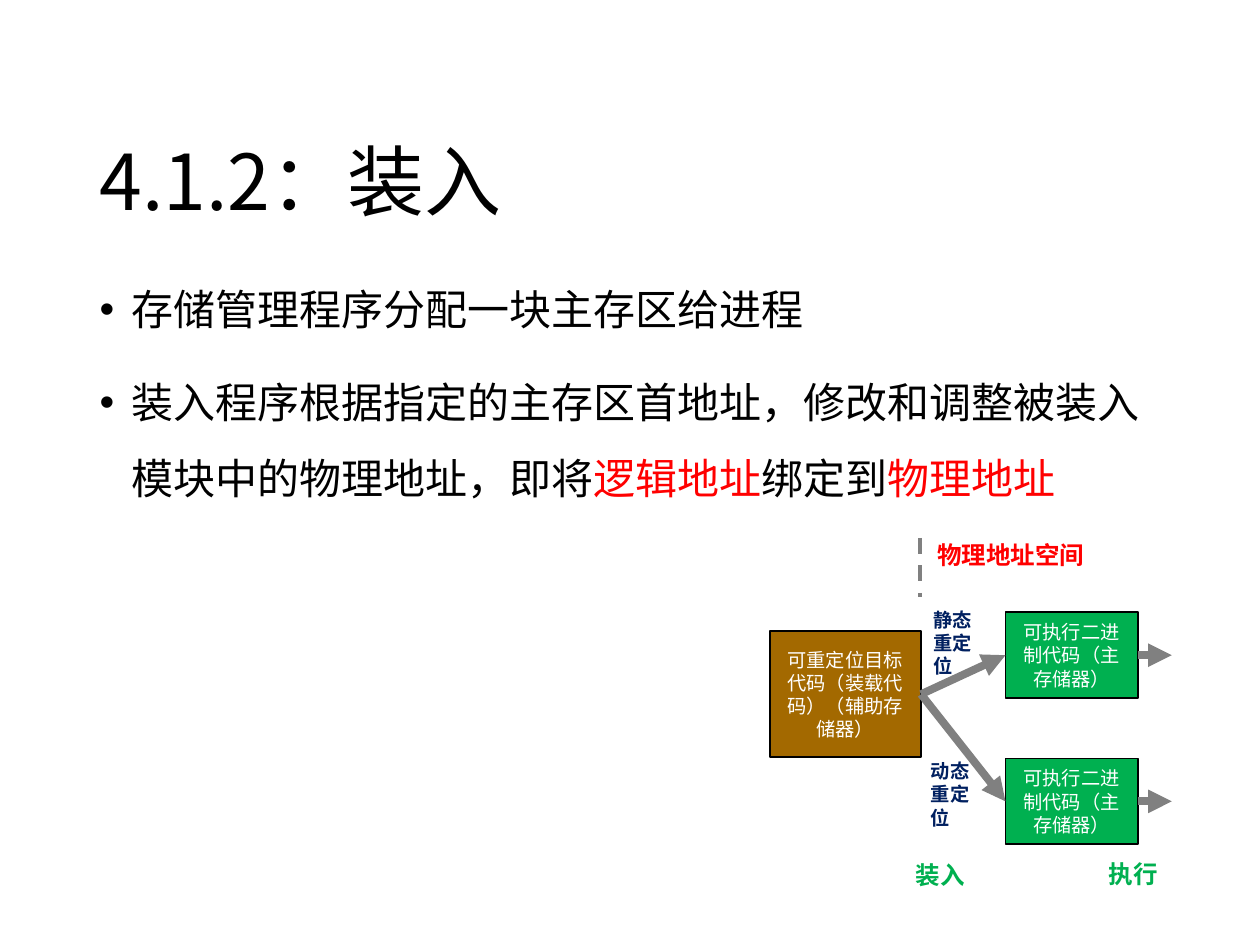
from lxml.etree import SubElement
from pptx import Presentation
from pptx.dml.color import RGBColor
from pptx.enum.dml import MSO_LINE
from pptx.enum.shapes import MSO_CONNECTOR, MSO_SHAPE
from pptx.enum.text import MSO_ANCHOR, MSO_AUTO_SIZE, PP_ALIGN
from pptx.oxml.ns import qn
from pptx.util import Inches, Pt

COLORS = {
    "black": "000000", "white": "FFFFFF", "red": "FF0000", "brown": "A36900",
    "green": "00B050", "gray": "808080", "navy": "002060",
}
HAN = "Noto Sans CJK SC"
TOP, LEFT, RIGHT = 0, 1, 3  # connection sites, clockwise from the top via left


def color(name):
    return RGBColor.from_string(COLORS[name])


def add_run(para, text, size, hue, bold=False, face=HAN):
    run = para.add_run()
    run.text = text
    font = run.font
    font.name, font.size, font.bold = face, Pt(size), bold
    font.color.rgb = color(hue)
    SubElement(font._element, qn("a:ea"), typeface=HAN)


def place(shape, left, top, width, height):
    shape.left, shape.top = Inches(left), Inches(top)
    shape.width, shape.height = Inches(width), Inches(height)


def fill_title(title, text):
    place(title, 0.69, 0.4, 8.62, 1.45)
    frame = title.text_frame
    frame.vertical_anchor = MSO_ANCHOR.BOTTOM
    frame.auto_size = MSO_AUTO_SIZE.NONE
    para = frame.paragraphs[0]
    para.alignment = PP_ALIGN.LEFT
    para.line_spacing = 0.9
    add_run(para, text, 44, "black")


def fill_body(body, items):
    """Write one bullet per item; an item is a list of (text, color) runs."""
    place(body, 0.69, 2, 8.62, 4.76)
    frame = body.text_frame
    frame.auto_size = MSO_AUTO_SIZE.NONE
    for i, runs in enumerate(items):
        para = frame.add_paragraph() if i else frame.paragraphs[0]
        para.line_spacing = 1.5
        para.space_before = Pt(10 if i else 0)
        props = para._p.get_or_add_pPr()
        props.set("marL", str(Inches(0.25)))
        props.set("indent", str(Inches(-0.25)))
        for text, hue in runs:
            add_run(para, text, 24, hue)


def add_box(shapes, text, hue, left, top, width, height):
    box = shapes.add_shape(MSO_SHAPE.RECTANGLE, Inches(left), Inches(top),
                           Inches(width), Inches(height))
    box.shadow.inherit = False
    box.fill.solid()
    box.fill.fore_color.rgb = color(hue)
    box.line.color.rgb = color("black")
    box.line.width = Pt(1)
    frame = box.text_frame
    frame.word_wrap = True
    frame.vertical_anchor = MSO_ANCHOR.MIDDLE
    para = frame.paragraphs[0]
    para.alignment = PP_ALIGN.CENTER
    add_run(para, text, 11, "white", face="Calibri")
    return box


def add_label(shapes, lines, size, hue, left, top, width, height, wrap=False):
    box = shapes.add_textbox(Inches(left), Inches(top),
                             Inches(width), Inches(height))
    frame = box.text_frame
    frame.word_wrap = wrap
    frame.auto_size = MSO_AUTO_SIZE.SHAPE_TO_FIT_TEXT
    for i, text in enumerate(lines):
        para = frame.add_paragraph() if i else frame.paragraphs[0]
        add_run(para, text, size, hue, bold=True)


def add_line(shapes, start, end, width):
    """Draw a gray line between two points given in EMU."""
    line = shapes.add_connector(MSO_CONNECTOR.STRAIGHT, *start, *end)
    line.line.color.rgb = color("gray")
    line.line.width = Pt(width)
    SubElement(line._element.spPr, qn("a:effectLst"))
    return line


def add_arrow(shapes, start, end):
    arrow = add_line(shapes, start, end, 4.5)
    SubElement(arrow.line._get_or_add_ln(), qn("a:tailEnd"), type="triangle")
    return arrow


def draw_loading(shapes):
    source = add_box(shapes, "可重定位目标代码（装载代码）（辅助存储器）",
                     "brown", 6.11, 5.01, 1.2, 1)
    for top in (4.86, 6.02):
        target = add_box(shapes, "可执行二进制代码（主存储器）",
                         "green", 7.98, top, 1.05, 0.68)
        mid = target.top + target.height // 2
        origin = (source.left + source.width, source.top + source.height // 2)
        load = add_arrow(shapes, origin, (target.left, mid))
        load.begin_connect(source, RIGHT)
        load.end_connect(target, LEFT)
        run = add_arrow(shapes, (target.left + target.width, mid),
                        (Inches(9.3), mid))
        run.begin_connect(target, RIGHT)

    border = add_line(shapes, (Inches(7.3), Inches(4.27)),
                      (Inches(7.3), Inches(4.74)), 2.25)
    border.line.dash_style = MSO_LINE.DASH

    add_label(shapes, ["装入"], 14, "green", 7.17, 6.78, 0.59, 0.34)
    add_label(shapes, ["执行"], 14, "green", 8.7, 6.77, 0.59, 0.34)
    add_label(shapes, ["物理地址空间"], 14, "red", 7.34, 4.24, 1.38, 0.34)
    for kind, left, top in (("静态", 7.31, 4.78), ("动态", 7.29, 5.98)):
        add_label(shapes, [kind, "重定位"], 11, "navy",
                  left, top, 0.62, 0.66, wrap=True)


def main():
    deck = Presentation()
    deck.slide_width, deck.slide_height = Inches(10), Inches(7.5)
    slide = deck.slides.add_slide(deck.slide_layouts[1])
    fill_title(slide.shapes.title, "4.1.2：装入")
    fill_body(slide.placeholders[1], [
        [("存储管理程序分配一块主存区给进程", "black")],
        [("装入程序根据指定的主存区首地址，修改和调整被装入模块中的物理地址，即将", "black"),
         ("逻辑地址", "red"), ("绑定到", "black"), ("物理地址", "red")],
    ])
    draw_loading(slide.shapes.add_group_shape().shapes)
    deck.save("out.pptx")


if __name__ == "__main__":
    main()
